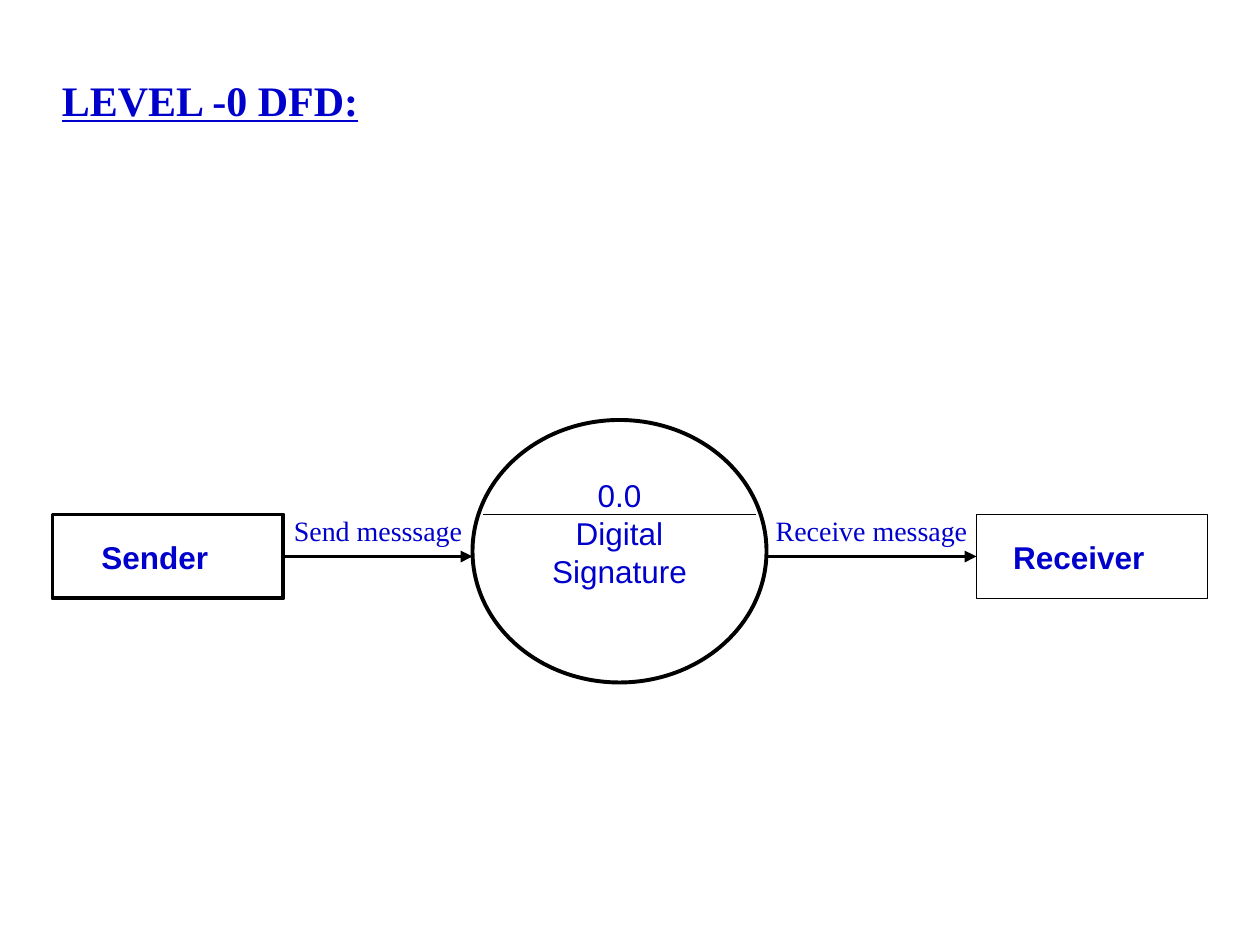
from lxml import etree
from pptx import Presentation
from pptx.dml.color import RGBColor
from pptx.enum.shapes import MSO_CONNECTOR, MSO_SHAPE
from pptx.enum.text import MSO_ANCHOR, PP_ALIGN
from pptx.oxml.ns import qn
from pptx.util import Pt

STRAIGHT = MSO_CONNECTOR.STRAIGHT
RECTANGLE, OVAL = MSO_SHAPE.RECTANGLE, MSO_SHAPE.OVAL
MIDDLE, CENTER = MSO_ANCHOR.MIDDLE, PP_ALIGN.CENTER
BLACK = RGBColor(0x00, 0x00, 0x00)
WHITE = RGBColor(0xFF, 0xFF, 0xFF)
BLUE = RGBColor(0x00, 0x00, 0xCC)
SANS, SERIF = "Arial", "Times New Roman"
THIN, THICK = Pt(0.75), Pt(2.25)
LEFT_SIDE, RIGHT_SIDE = 1, 3


def write(shape, lines, font, size, bold=None, underline=None):
    frame = shape.text_frame
    frame.word_wrap = True
    frame.vertical_anchor = MIDDLE
    for i, line in enumerate(lines):
        paragraph = frame.add_paragraph() if i else frame.paragraphs[0]
        paragraph.alignment = CENTER
        run = paragraph.add_run()
        run.text = line
        run.font.name = font
        run.font.size = Pt(size)
        run.font.bold = bold
        run.font.underline = underline
        run.font.color.rgb = BLUE


def draw_line(x1, x2, y, width, arrow=False):
    line = slide.shapes.add_connector(STRAIGHT, Pt(x1), Pt(y), Pt(x2), Pt(y))
    line.line.color.rgb = BLACK
    line.line.width = width
    if arrow:
        etree.SubElement(line.line._get_or_add_ln(), qn("a:tailEnd"), type="triangle")
    etree.SubElement(line._element.spPr, qn("a:effectLst"))
    return line


prs = Presentation()
prs.slide_width, prs.slide_height = Pt(720), Pt(540)
slide = prs.slides.add_slide(prs.slide_layouts[6])

# Process circle, its text raised by one line
process = slide.shapes.add_shape(OVAL, Pt(270), Pt(240), Pt(168), Pt(150))
process.shadow.inherit = False
process.fill.background()
process.line.color.rgb = BLACK
process.line.width = THICK
write(process, ["0.0", "Digital", "Signature"], SANS, 18)
process.text_frame.margin_bottom = Pt(24.3)

# Rule under the process number
draw_line(276, 432, 294, THIN)

# External entities, their names set slightly left of centre
entities = {}
for name, left, border in [("Sender", 30, THICK), ("Receiver", 558, THIN)]:
    entity = slide.shapes.add_shape(RECTANGLE, Pt(left), Pt(294), Pt(132), Pt(48))
    entity.shadow.inherit = False
    entity.fill.solid()
    entity.fill.fore_color.rgb = WHITE
    entity.line.color.rgb = BLACK
    entity.line.width = border
    write(entity, [name], SANS, 18, bold=True)
    entity.text_frame.margin_right = Pt(22.2)
    entities[name] = entity

# Data flows
send_flow = draw_line(162, 270, 318, THICK, arrow=True)
send_flow.begin_connect(entities["Sender"], RIGHT_SIDE)
receive_flow = draw_line(438, 558, 318, THICK, arrow=True)
receive_flow.end_connect(entities["Receiver"], LEFT_SIDE)

# Flow labels
for message, left in [("Send messsage", 132), ("Receive message", 414)]:
    label = slide.shapes.add_textbox(Pt(left), Pt(288), Pt(168), Pt(30))
    write(label, [message], SERIF, 16)

# Title
title = slide.shapes.add_textbox(Pt(0), Pt(24), Pt(240), Pt(66))
write(title, ["LEVEL -0 DFD:"], SERIF, 24, bold=True, underline=True)

prs.save("out.pptx")
